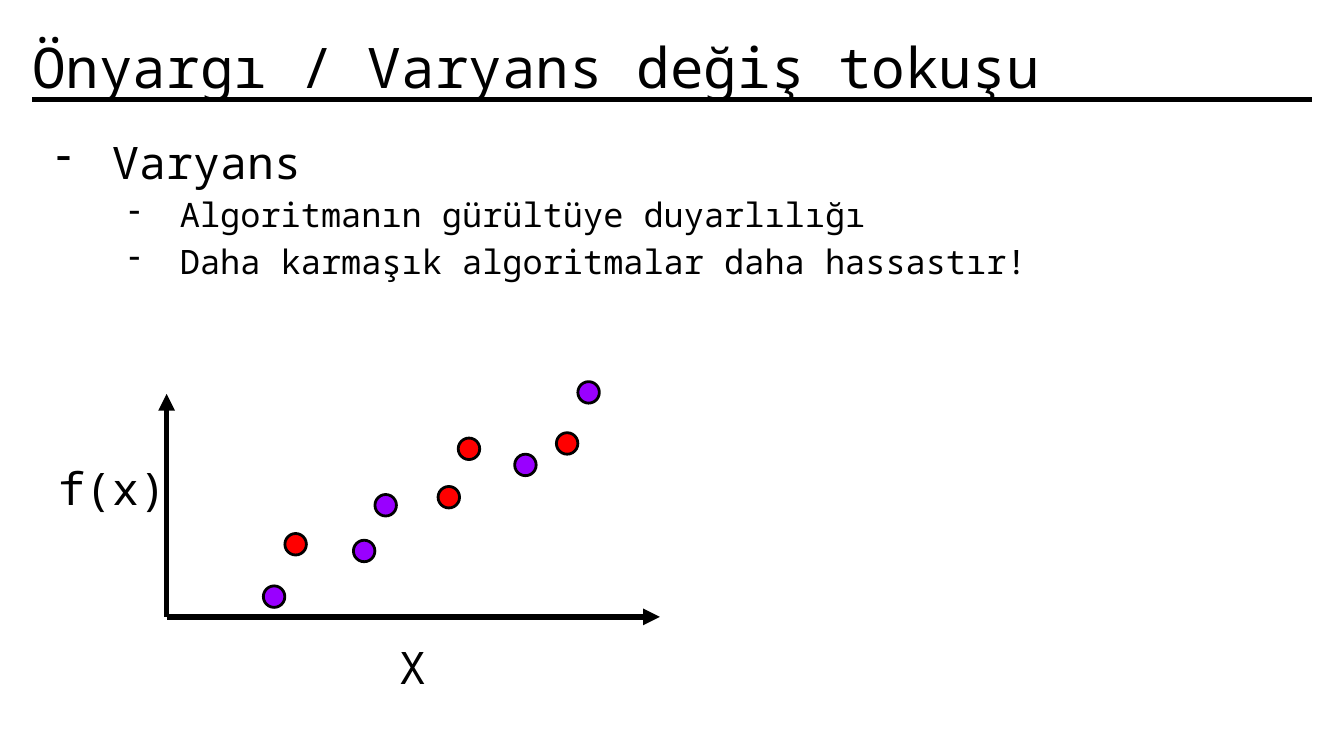
import pptx
import pptx.util
import pptx.dml.color
import pptx.enum.shapes
import pptx.enum.text
import pptx.oxml.ns
from lxml import etree

THEME = {
    "font": "Noto Sans Mono", "ink": "000000", "paper": "FFFFFF", "veil": 60,
    "noise": "FF0000", "data": "9900FF",
    "title": 30, "head": 24, "item": 18, "label": 24,
    "rule": 2.25, "axis": 3, "edge": 1.5,
}

# Square grid cells, 100 columns across the 16:9 slide.
COLS, ROWS = 100, 56.25
CELL = pptx.util.Inches(10) / COLS

TITLE = ("Önyargı / Varyans değiş tokuşu", (1.4, 2.1, 97.2, 6.3))
RULE = ((2.4, 7.4), (97.6, 7.4))
BODY = (2.4, 8.4, 95.1, 46.5)
POINTS = [
    (0, "Varyans"),
    (1, "Algoritmanın gürültüye duyarlılığı"),
    (1, "Daha karmaşık algoritmalar daha hassastır!"),
]
LEVELS = [("head", 0.5, -0.42), ("item", 1, -0.38)]  # size, margin, indent

ORIGIN = (12.4, 45.9)
TIPS = [(12.4, 29.3), (49.1, 45.9)]
LABELS = [
    ("f(x)", (3.4, 33.3, 16.2, 5.7), "LEFT"),
    ("X", (18.8, 46.6, 23.8, 5.7), "CENTER"),
]
DOT = 1.6
DOTS = [
    ("data", 19.6, 43.6), ("noise", 21.2, 39.7), ("data", 26.3, 40.2),
    ("data", 27.9, 36.8), ("noise", 32.6, 36.2), ("noise", 34.1, 32.6),
    ("data", 38.3, 33.8), ("noise", 41.4, 32.2), ("data", 43, 28.4),
]


def grid(*cells):
    return [round(c * CELL) for c in cells]


def color(name):
    return pptx.dml.color.RGBColor.from_string(THEME[name])


def node(parent, tag, **attrs):
    return etree.SubElement(parent, pptx.oxml.ns.qn(tag), attrs)


def style(para, size):
    for run in para.runs:
        run.font.name = THEME["font"]
        run.font.size = pptx.util.Pt(THEME[size])
        run.font.color.rgb = color("ink")


def write(shapes, text, area, size, align="LEFT", anchor="TOP"):
    box = shapes.add_textbox(*grid(*area))
    frame = box.text_frame
    frame.word_wrap = True
    for side in ("left", "top", "right", "bottom"):
        setattr(frame, "margin_" + side, pptx.util.Inches(0.1))
    frame.vertical_anchor = getattr(pptx.enum.text.MSO_ANCHOR, anchor)
    frame.text = text
    for para in frame.paragraphs:
        para.alignment = getattr(pptx.enum.text.PP_ALIGN, align)
        style(para, size)
    return box


def draw(shapes, start, end, width, arrow=False):
    kind = pptx.enum.shapes.MSO_CONNECTOR.STRAIGHT
    line = shapes.add_connector(kind, *grid(*start, *end))
    line.line.color.rgb = color("ink")
    line.line.width = pptx.util.Pt(THEME[width])
    if arrow:
        node(line.line._get_or_add_ln(), "a:tailEnd", type="triangle")
    node(line._element.spPr, "a:effectLst")


def outline(shapes):
    """Add the dashed list on its half-clear white panel."""
    box = write(shapes, "\n".join(text for _, text in POINTS), BODY, "item")
    box.fill.solid()
    box.fill.fore_color.rgb = color("paper")
    tint = box._element.spPr.find(".//" + pptx.oxml.ns.qn("a:srgbClr"))
    node(tint, "a:alpha", val=str(THEME["veil"] * 1000))
    for para, (level, _) in zip(box.text_frame.paragraphs, POINTS):
        size, margin, indent = LEVELS[level]
        para.level = level
        para.line_spacing = 1.15
        style(para, size)
        props = para._p.get_or_add_pPr()
        props.set("marL", str(pptx.util.Inches(margin)))
        props.set("indent", str(pptx.util.Inches(indent)))
        node(node(props, "a:buClr"), "a:srgbClr", val=THEME["ink"])
        node(props, "a:buChar", char="-")


def plot(shapes):
    for text, area, align in LABELS:
        write(shapes, text, area, "label", align)
    for kind, left, top in DOTS:
        dot = shapes.add_shape(pptx.enum.shapes.MSO_SHAPE.OVAL,
                               *grid(left, top, DOT, DOT))
        dot.shadow.inherit = False
        dot.fill.solid()
        dot.fill.fore_color.rgb = color(kind)
        dot.line.color.rgb = color("ink")
        dot.line.width = pptx.util.Pt(THEME["edge"])
    for tip in TIPS:
        draw(shapes, ORIGIN, tip, "axis", arrow=True)


def main():
    deck = pptx.Presentation()
    deck.slide_width, deck.slide_height = grid(COLS, ROWS)
    slide = deck.slides.add_slide(deck.slide_layouts[6])
    slide.background.fill.solid()
    slide.background.fill.fore_color.rgb = color("paper")
    draw(slide.shapes, *RULE, "rule")
    write(slide.shapes, *TITLE, "title", anchor="BOTTOM")
    outline(slide.shapes)
    plot(slide.shapes.add_group_shape().shapes)
    deck.save("out.pptx")


if __name__ == "__main__":
    main()
